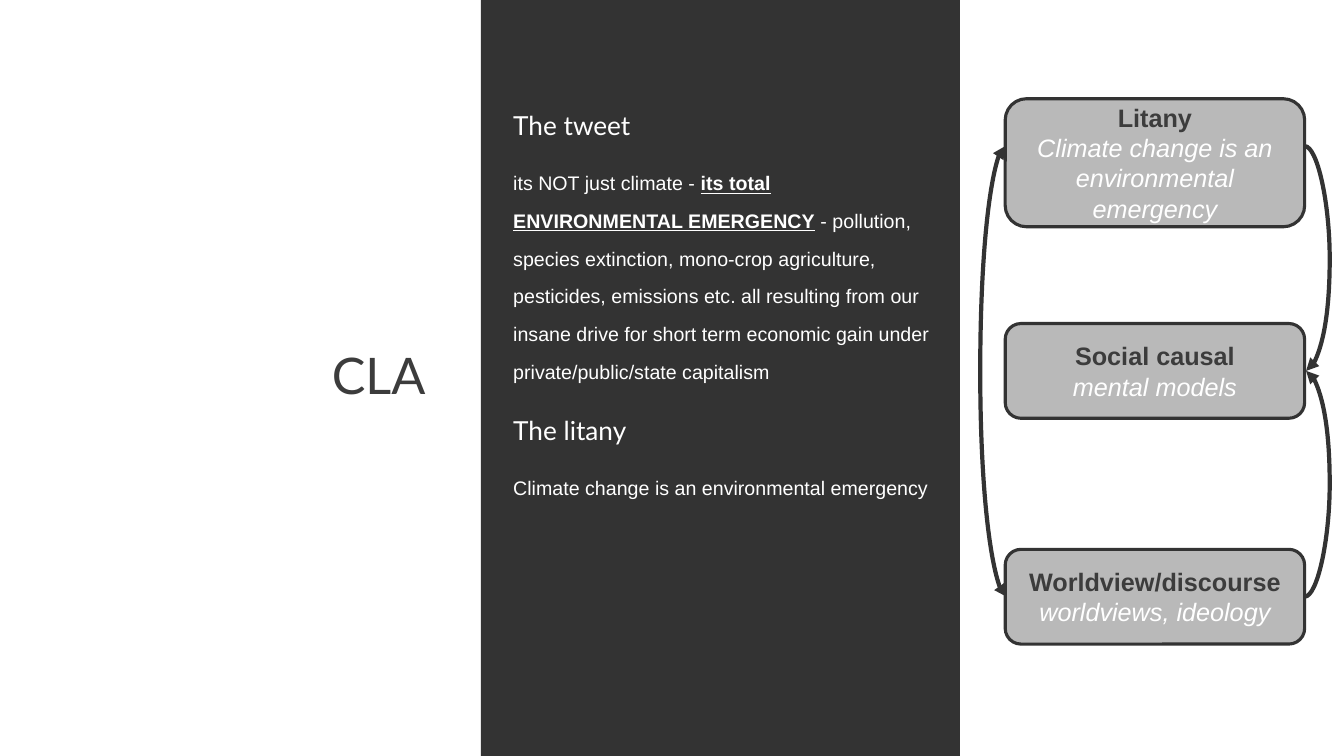
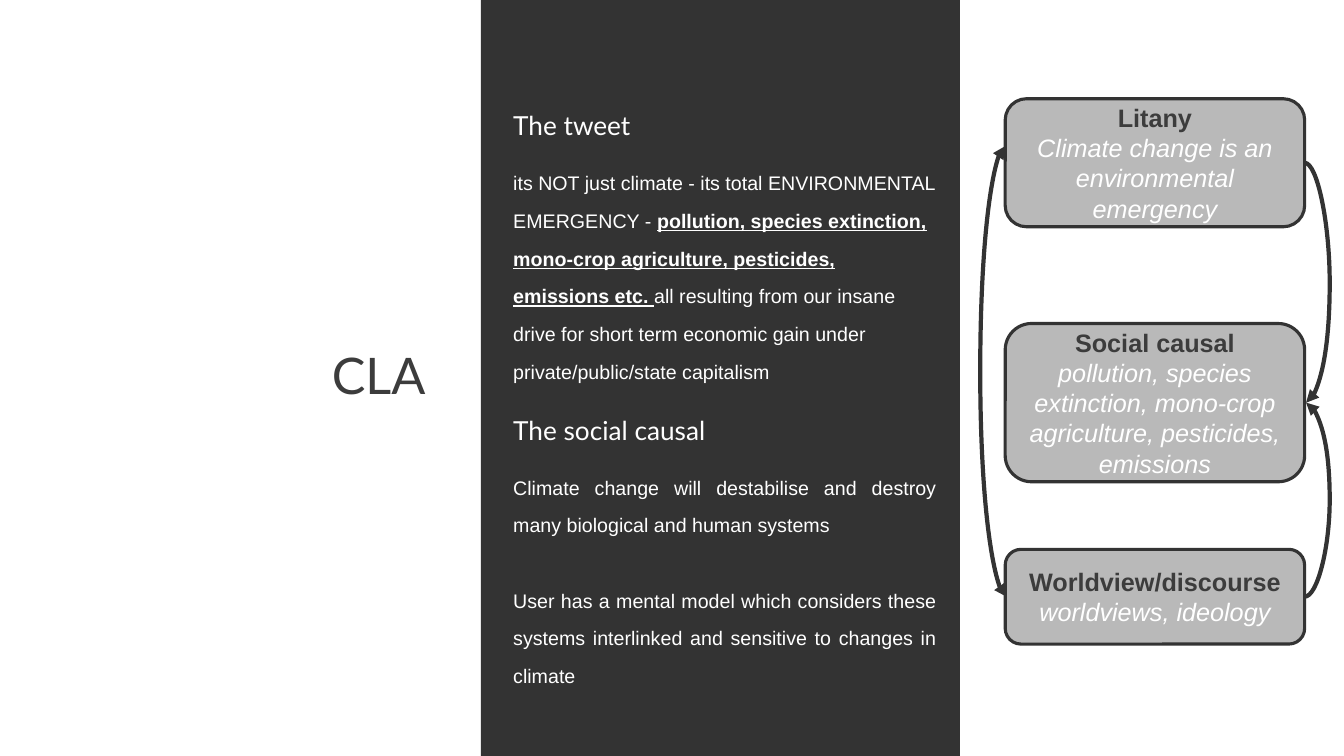
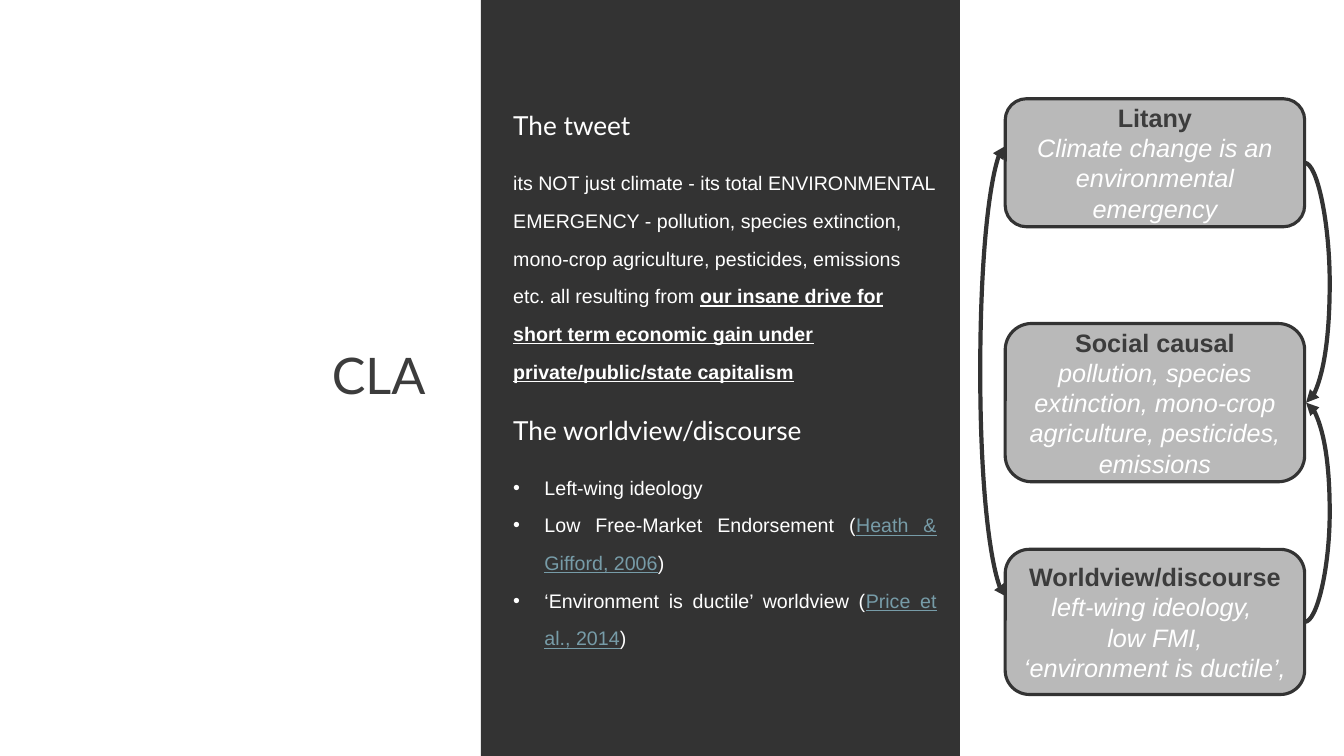
from pptx import Presentation
from pptx.dml.color import RGBColor
from pptx.enum.shapes import MSO_CONNECTOR, MSO_SHAPE
from pptx.enum.text import MSO_ANCHOR, MSO_AUTO_SIZE, PP_ALIGN
from pptx.oxml.ns import qn
from pptx.util import Inches, Pt
from lxml import etree

DARK = RGBColor(0x33, 0x33, 0x33)
INK = RGBColor(0x3C, 0x3C, 0x3C)
GREY = RGBColor(0xB9, 0xB9, 0xB9)
WHITE = RGBColor(0xFF, 0xFF, 0xFF)
LINK = RGBColor(0x77, 0x9C, 0xA8)
LEFT, RIGHT = PP_ALIGN.LEFT, PP_ALIGN.RIGHT
CENTER, JUSTIFY = PP_ALIGN.CENTER, PP_ALIGN.JUSTIFY
TOP, MIDDLE, BOTTOM = MSO_ANCHOR.TOP, MSO_ANCHOR.MIDDLE, MSO_ANCHOR.BOTTOM

TWEET = (
    "its NOT just climate - its total ENVIRONMENTAL EMERGENCY - pollution, "
    "species extinction, mono-crop agriculture, pesticides, emissions etc. "
    "all resulting from our insane drive for short term economic gain under "
    "private/public/state capitalism"
)
STRONG = {"bold": True, "underline": True}
CITED = {"color": LINK, "underline": True}

LITANY = ("Litany", ["Climate change is an environmental emergency"], 1.27)
CAUSES = ("Social causal",
          ["pollution, species extinction, mono-crop agriculture, pesticides, emissions"], 1.57)
WORLDVIEW = ("Worldview/discourse", ["worldviews, ideology"], 0.94)

# Each level is (name, lines, height); each paragraph is a list of (text, format).
PAGES = [
    {
        "stressed": "its total ENVIRONMENTAL EMERGENCY",
        "heading": "The litany",
        "paragraphs": [[("Climate change is an environmental emergency", {})]],
        "levels": [LITANY, ("Social causal", ["mental models"], 0.94), WORLDVIEW],
        "litany_exit": 1.45,
    },
    {
        "stressed": "pollution, species extinction, mono-crop agriculture, "
                    "pesticides, emissions etc. ",
        "heading": "The social causal",
        "paragraphs": [
            [("Climate change will destabilise and destroy many biological "
              "and human systems", {})],
            [("User has a mental model which considers these systems "
              "interlinked and sensitive to changes in climate", {})],
        ],
        "gap": 26.8,
        "levels": [LITANY, CAUSES, WORLDVIEW],
    },
    {
        "stressed": "our insane drive for short term economic gain under "
                    "private/public/state capitalism",
        "heading": "The worldview/discourse",
        "paragraphs": [
            [("Left-wing ideology", {})],
            [("Low Free-Market Endorsement (", {}), ("Heath & Gifford, 2006", CITED), (")", {})],
            [("‘Environment is ductile’ worldview (", {}), ("Price et al., 2014", CITED), (")", {})],
        ],
        "bulleted": True,
        "levels": [LITANY, CAUSES,
                   ("Worldview/discourse",
                    ["left-wing ideology, ", "low FMI,", "‘environment is ductile’, "], 1.44)],
    },
]

# Placeholder number: left, top, width, height, anchor
TITLE, TWEET_HEADING, TWEET_BODY, LEVEL_HEADING, LEVEL_BODY = range(5)
PLACES = {
    TITLE: (1.02, 2.65, 3.3, 2.2, MIDDLE),
    TWEET_HEADING: (4.99, 0.98, 3.87, 0.47, BOTTOM),
    TWEET_BODY: (4.99, 1.51, 4.4, 1.58, TOP),
    LEVEL_HEADING: (4.99, 4, 3.87, 0.47, BOTTOM),
    LEVEL_BODY: (4.99, 4.53, 4.4, 1.58, TOP),
}
BAND = (4.77, 0, 4.75, 7.5)
LEVEL_LEFT, LEVEL_WIDTH = 9.97, 2.97
LEVEL_TOPS = (0.98, 3.21, 5.45)
LOOP_ENDS = (1.45, 5.92)
BULGE = 18  # in multiples of the one-point connector width


def write(frame, paragraphs, align=LEFT, spacing=1.0, gap=0, bulleted=False, **base):
    """Fill a text frame; each span's format overrides the base format."""
    for i, spans in enumerate(paragraphs):
        para = frame.paragraphs[0] if i == 0 else frame.add_paragraph()
        para.alignment, para.line_spacing = align, spacing
        para.space_before, para.space_after = Pt(gap if i else 0), Pt(0)
        props = para._p.get_or_add_pPr()
        indent = Inches(0.31) if bulleted else 0
        props.set("marL", str(indent))
        props.set("indent", str(-indent))
        if bulleted:
            etree.SubElement(props, qn("a:buChar")).set("char", "•")
        else:
            etree.SubElement(props, qn("a:buNone"))
        for text, extra in spans:
            style = {"font": "Arial", "size": 14, "color": WHITE, **base, **extra}
            span = para.add_run()
            span.text = text
            span.font.name, span.font.size = style["font"], Pt(style["size"])
            span.font.color.rgb = style["color"]
            span.font.bold = style.get("bold", False)
            span.font.italic = style.get("italic", False)
            span.font.underline = style.get("underline", False)


def add_box(page, kind, place, fill):
    box = page.shapes.add_shape(kind, *map(Inches, place))
    box.shadow.inherit = False
    box.fill.solid()
    box.fill.fore_color.rgb = fill
    box.line.fill.background()
    return box


def add_level(page, name, lines, top, height):
    box = add_box(page, MSO_SHAPE.ROUNDED_RECTANGLE,
                  (LEVEL_LEFT, top, LEVEL_WIDTH, height), GREY)
    box.line.color.rgb, box.line.width = DARK, Pt(2.25)
    box.text_frame.word_wrap = True
    box.text_frame.vertical_anchor = MIDDLE
    heading = [(name, {"color": INK, "bold": True})]
    details = [[(line, {"italic": True})] for line in lines]
    write(box.text_frame, [heading, *details], align=CENTER, size=18)


def add_curve(page, x, start, end, bulge, ends=("tailEnd",)):
    curve = page.shapes.add_connector(MSO_CONNECTOR.CURVE, Inches(x), Inches(start),
                                      Inches(x) + Pt(1), Inches(end))
    curve.line.color.rgb, curve.line.width = DARK, Pt(3)
    props = curve._element.spPr
    guide = etree.SubElement(props.find(qn("a:prstGeom")).find(qn("a:avLst")), qn("a:gd"))
    guide.set("name", "adj1")
    guide.set("fmla", f"val {bulge * 100000}")
    for tag in ends:
        etree.SubElement(props.find(qn("a:ln")), qn(f"a:{tag}")).set("type", "triangle")
    etree.SubElement(props, qn("a:effectLst"))


def prepare_layout(layout):
    for holder in layout.placeholders:
        number = holder.placeholder_format.idx
        if number in PLACES:
            *place, anchor = PLACES[number]
            holder.left, holder.top, holder.width, holder.height = map(Inches, place)
            holder.text_frame.auto_size = MSO_AUTO_SIZE.NONE
            holder.text_frame.vertical_anchor = anchor


def move_to_layout(shape, layout):
    """Put a shape behind everything on the layout, so that all slides share it."""
    layout.shapes._spTree.insert(2, shape._element)


def add_page(deck, layout, content):
    page = deck.slides.add_slide(layout)
    frames = {p.placeholder_format.idx: p.text_frame for p in page.placeholders}
    write(frames[TITLE], [[("CLA", {})]], align=RIGHT, spacing=0.9,
          font="Lato", size=36, color=INK)
    for number, heading in ((TWEET_HEADING, "The tweet"), (LEVEL_HEADING, content["heading"])):
        write(frames[number], [[(heading, {})]], align=JUSTIFY, font="Lato", size=18.7)

    before, stressed, after = TWEET.partition(content["stressed"])
    spans = [(before, {}), (stressed, STRONG), (after, {})]
    write(frames[TWEET_BODY], [[span for span in spans if span[0]]], spacing=1.6)
    write(frames[LEVEL_BODY], content["paragraphs"], align=JUSTIFY, spacing=1.6,
          gap=content.get("gap", 0), bulleted=content.get("bulleted", False))

    middles = []
    for top, (name, lines, height) in zip(LEVEL_TOPS, content["levels"]):
        add_level(page, name, lines, top, height)
        middles.append(top + height / 2)
    litany, causal, worldview = middles
    right = LEVEL_LEFT + LEVEL_WIDTH
    add_curve(page, LEVEL_LEFT, *LOOP_ENDS, -BULGE, ends=("headEnd", "tailEnd"))
    for start in (content.get("litany_exit", litany), worldview):
        add_curve(page, right, start, causal, BULGE)
    return page


def main():
    deck = Presentation()
    deck.slide_width, deck.slide_height = Inches(13.33), Inches(7.5)
    layout = deck.slide_layouts.get_by_name("Comparison")
    prepare_layout(layout)
    pages = [add_page(deck, layout, content) for content in PAGES]
    move_to_layout(add_box(pages[0], MSO_SHAPE.RECTANGLE, BAND, DARK), layout)
    deck.save("out.pptx")


if __name__ == "__main__":
    main()
